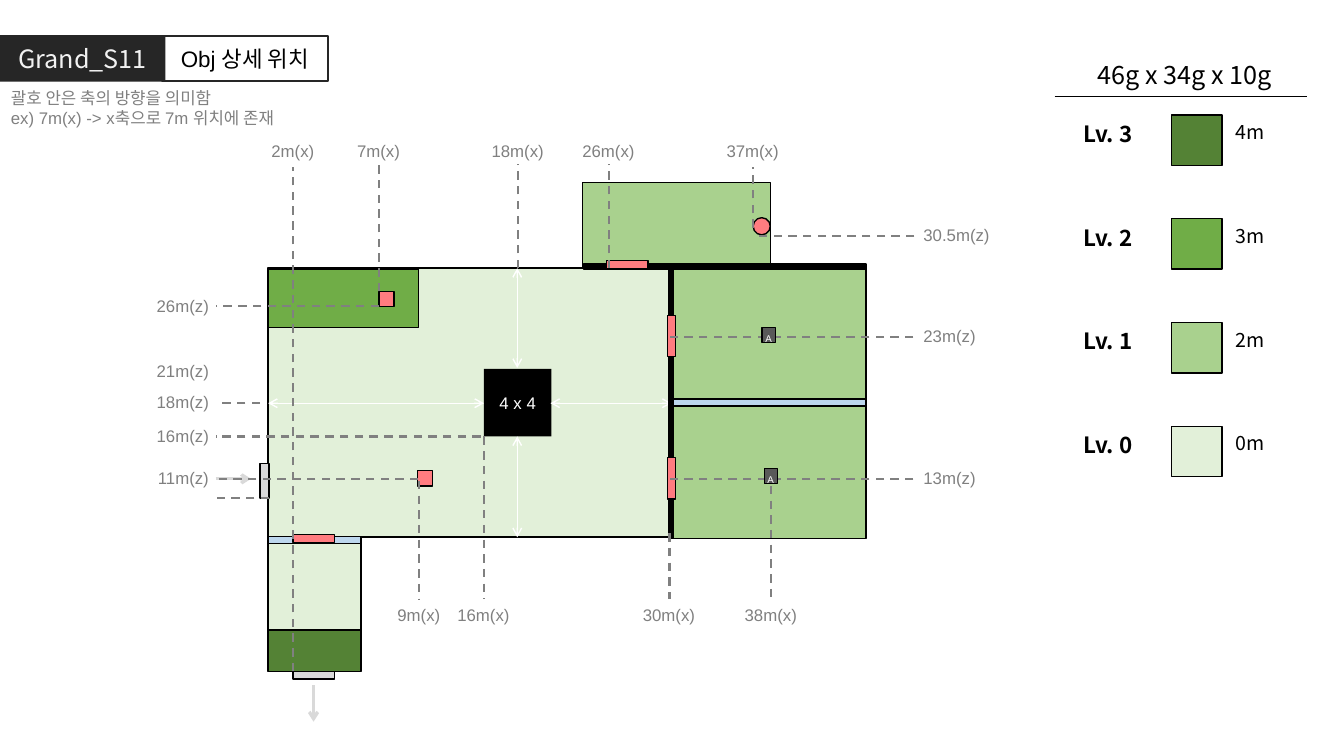
"""Build the Grand_S11 level map slide with object positions and a height legend."""
from dataclasses import dataclass
from lxml.etree import SubElement
from pptx import Presentation
from pptx.dml.color import RGBColor
from pptx.enum.dml import MSO_LINE
from pptx.enum.shapes import MSO_CONNECTOR, MSO_SHAPE
from pptx.enum.text import MSO_ANCHOR, MSO_AUTO_SIZE, PP_ALIGN
from pptx.oxml.ns import qn
from pptx.util import Inches, Pt


@dataclass(frozen=True)
class Theme:
    black: str = "000000"
    white: str = "FFFFFF"
    dark: str = "262626"
    title: str = "F2F2F2"
    gray: str = "808080"
    marker: str = "595959"
    gate: str = "D9D9D9"
    red: str = "FF7C80"
    glass: str = "BDD7EE"
    levels: tuple = ("E2F0D9", "A9D18E", "70AD47", "548235")
    sans: str = "Arial"
    cjk: str = "Noto Sans CJK KR"
    tiny: int = 7
    label: int = 12
    height: int = 14
    level: int = 16
    head: int = 18


T = Theme()
LEFT, CENTER, RIGHT = PP_ALIGN.LEFT, PP_ALIGN.CENTER, PP_ALIGN.RIGHT

prs = Presentation()
prs.slide_width, prs.slide_height = Inches(13.33), Inches(7.5)
s = prs.slides.add_slide(prs.slide_layouts[6])


def box(at, fill=None, border=T.black, width=1, kind=MSO_SHAPE.RECTANGLE, rot=0, text="",
        size=T.label, color=T.gray, font=T.sans, bold=False, align=CENTER, anchor=MSO_ANCHOR.MIDDLE):
    at = [Inches(v) for v in at]
    if kind is None:
        sp = s.shapes.add_textbox(*at)
        anchor = MSO_ANCHOR.TOP
    else:
        sp = s.shapes.add_shape(kind, *at)
        sp.shadow.inherit = False
        sp.rotation = rot
        if fill:
            sp.fill.solid()
            sp.fill.fore_color.rgb = RGBColor.from_string(fill)
        else:
            sp.fill.background()
        if border:
            sp.line.color.rgb = RGBColor.from_string(border)
            sp.line.width = Pt(width)
        else:
            sp.line.fill.background()
    if text:
        tf = sp.text_frame
        tf.text = text
        tf.word_wrap = True
        tf.vertical_anchor = anchor
        if kind is None:
            tf.auto_size = MSO_AUTO_SIZE.SHAPE_TO_FIT_TEXT
        for p in tf.paragraphs:
            p.alignment = align
            for r in p.runs:
                r.font.size, r.font.name, r.font.bold = Pt(size), font, bold
                r.font.color.rgb = RGBColor.from_string(color)


def line(x1, y1, x2, y2, color=T.gray, width=1.5, dash=False, ends=()):
    c = s.shapes.add_connector(MSO_CONNECTOR.STRAIGHT, *[Inches(v) for v in (x1, y1, x2, y2)])
    c.line.color.rgb = RGBColor.from_string(color)
    c.line.width = Pt(width)
    if dash:
        c.line.dash_style = MSO_LINE.DASH
    for end in ends:
        SubElement(c.line._get_or_add_ln(), qn(f"a:{end}"), type="arrow")
    SubElement(c._element.spPr, qn("a:effectLst"))


line(10.46, 0.96, 12.96, 0.96, T.black, 1)
for i, (fill, height) in enumerate(zip(T.levels, ("0m", "2m", "3m", "4m"))):
    y = 4.23 - 1.03 * i
    box((11.62, y, 0.5, 0.5), fill)
    box((12.16, y, 0.71, 0.33), kind=None, text=height, size=T.height, color=T.black,
        font=T.cjk, align=LEFT)
    box((10.65, y, 1.07, 0.36), kind=None, text=f"Lv. {i}", size=T.level, color=T.black,
        font=T.cjk, bold=True, align=LEFT)
box((10.65, 0.54, 2.2, 0.4), kind=None, text="46g x 34g x 10g", size=T.head, color=T.black, font=T.cjk)

box((0, 0.35, 1.64, 0.46), T.dark, None, text="Grand_S11", size=T.head, color=T.title, font=T.cjk)
box((1.61, 0.36, 1.64, 0.44), border=T.dark, width=1.5, text="Obj 상세 위치", size=T.level, color=T.black)
box((0.01, 0.82, 3.16, 0.5), kind=None, align=LEFT,
    text="괄호 안은 축의 방향을 의미함\nex) 7m(x) -> x축으로 7m 위치에 존재")

ground, low, mid, high = T.levels
box((5.78, 1.81, 1.86, 0.85), low)
box((2.66, 2.66, 4, 2.67), ground)
box((4.8, 3.66, 0.67, 0.67), T.black, None, text="4 x 4", color=T.white)
for span in ((5.13, 2.66, 5.13, 3.65), (5.13, 4.33, 5.13, 5.33), (2.66, 4, 4.8, 4), (5.46, 4, 6.66, 4)):
    line(*span, T.white, 1, ends=("headEnd", "tailEnd"))
for y in (2.66, 4):
    box((6.66, y, 1.93, 1.34), low)
box((2.66, 2.67, 1.49, 0.58), mid)
for x, y in ((4.14, 4.67), (3.76, 2.89)):
    box((x, y, 0.15, 0.15), T.red)
box((5.79, 2.62, 2.8, 0.05), T.black)
box((6.66, 3.96, 1.93, 0.07), T.glass)
box((6.18, 2.42, 0.08, 0.41), T.red, rot=90)
box((7.47, 2.16, 0.17, 0.17), T.red, kind=MSO_SHAPE.OVAL)
box((2.58, 4.6, 0.09, 0.34), T.gate)
box((3.07, 6.49, 0.08, 0.41), T.gate, rot=90)
for arrow in ((2.14, 4.75, 2.49, 4.75), (3.11, 6.8, 3.11, 7.16)):
    line(*arrow, T.gate, 2.25, ends=("tailEnd",))
box((2.66, 5.33, 0.92, 0.92), ground)
box((2.66, 6.25, 0.92, 0.41), high)
box((2.66, 5.32, 0.92, 0.07), T.glass)
box((3.07, 5.14, 0.08, 0.41), T.red, rot=90)
box((6.63, 2.67, 0.05, 2.67), T.black)
for y in (3.13, 4.54):
    box((6.62, y, 0.08, 0.41), T.red)

x_top = ((2, 2.91, 1.66, 6.66), (7, 3.76, 1.63, 2.89), (18, 5.14, 1.63, 2.66),
         (26, 6.04, 1.63, 2.66), (37, 7.47, 1.66, 2.26))
x_bottom = ((9, 4.16, 5.94, 4.77), (16, 4.8, 5.94, 4.33), (30, 6.64, 5.94, 5.29), (38, 7.65, 5.94, 4.82))
for label_y, guides in ((1.35, x_top), (5.95, x_bottom)):
    for metres, x, start, end in guides:
        line(x, end, x, start, dash=True)
        box((x - 0.37, label_y, 0.73, 0.3), kind=None, text=f"{metres}m(x)")

z_left = ((11, 4.75, 4.15, 2.14), (16, 4.33, 4.77, 2.14), (26, 3.04, 3.76, 2.14), (18, 4, 2.58, 2.15))
z_right = ((23, 3.34, 9.06, 6.65), (13, 4.75, 9.06, 6.65), (30.5, 2.34, 9.07, 7.48))
for label_x, align, guides in ((0.82, RIGHT, z_left), (9.06, LEFT, z_right)):
    for metres, y, start, end in guides:
        line(start, y, end, y, dash=True)
        box((label_x, y - 0.16, 1.35, 0.3), kind=None, text=f"{metres}m(z)", align=align)
box((0.82, 3.53, 1.35, 0.3), kind=None, text="21m(z)", align=RIGHT)
line(2.67, 4.94, 2.14, 4.94, dash=True)
for x, y in ((7.56, 3.25), (7.58, 4.65)):
    box((x, y, 0.13, 0.15), T.marker, text="A", size=T.tiny, color=T.white, align=LEFT,
        anchor=MSO_ANCHOR.TOP)

prs.save("out.pptx")
